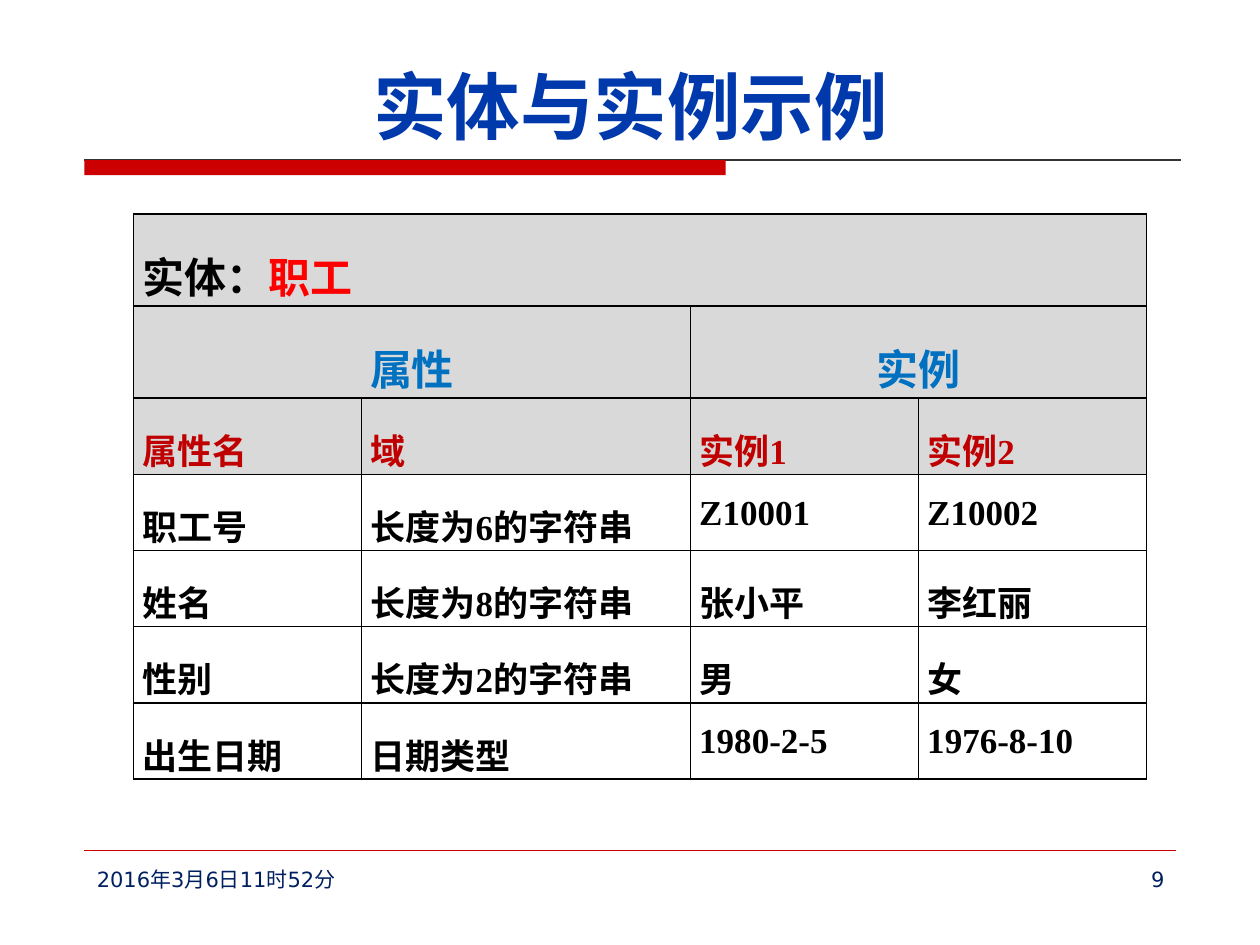
from dataclasses import dataclass

from lxml.etree import SubElement
from pptx import Presentation
from pptx.dml.color import RGBColor
from pptx.enum.shapes import MSO_CONNECTOR as CONN, MSO_SHAPE as SHAPE
from pptx.enum.text import MSO_ANCHOR as ANCHOR, PP_ALIGN as ALIGN
from pptx.oxml.ns import qn
from pptx.util import Inches, Pt

COLORS = {
    "red": "CC0000", "rule": "333333", "title": "0039AC", "footer": "002060",
    "black": "000000", "entity": "FF0000", "group": "0070C0",
    "header": "C00000", "shade": "D9D9D9", "white": "FFFFFF",
}
CJK = "Noto Sans CJK SC"
SERIF = "Times New Roman"
SANS = "DejaVu Sans"
W, H = 10, 7.5
LEFT, RIGHT = 0.067 * W, 0.935 * W


@dataclass
class Style:
    size: int
    color: str
    font: str = SERIF
    bold: bool = True
    align: ALIGN = ALIGN.JUSTIFY


@dataclass
class Label:
    text: str
    left: float
    top: float
    width: float
    height: float
    style: Style
    anchor: ANCHOR = ANCHOR.TOP


@dataclass
class Row:
    texts: list[str]
    style: Style
    height: float = 0.605
    fill: str = "white"
    span: int = 1


def rgb(name: str) -> RGBColor:
    return RGBColor.from_string(COLORS[name])


def style_paragraph(p, style: Style) -> None:
    p.alignment = style.align
    f = p.font
    f.size, f.bold, f.name = Pt(style.size), style.bold, style.font
    f.color.rgb = rgb(style.color)
    SubElement(f._element, qn("a:ea")).set("typeface", CJK)


def add_label(sp_tree, label: Label) -> None:
    box = sp_tree.add_textbox(Inches(label.left), Inches(label.top),
                              Inches(label.width), Inches(label.height))
    tf = box.text_frame
    tf.word_wrap, tf.vertical_anchor = True, label.anchor
    p = tf.paragraphs[0]
    p.add_run().text = label.text
    style_paragraph(p, label.style)


def add_rule(sp_tree, x1: float, x2: float, y: float, color: str, width: float) -> None:
    line = sp_tree.add_connector(CONN.STRAIGHT, Inches(x1), Inches(y), Inches(x2), Inches(y))
    line.line.color.rgb, line.line.width = rgb(color), Pt(width)
    SubElement(line._element.spPr, qn("a:effectLst"))


def add_borders(cell) -> None:
    props = cell._tc.get_or_add_tcPr()
    for i, side in enumerate(("lnL", "lnR", "lnT", "lnB")):
        ln = props.makeelement(qn(f"a:{side}"), {"w": str(Pt(1))})
        fill = SubElement(ln, qn("a:solidFill"))
        SubElement(fill, qn("a:srgbClr")).set("val", COLORS["black"])
        props.insert(i, ln)


def add_grid(sp_tree, left: float, top: float, cols: list[float], rows: list[Row]) -> None:
    frame = sp_tree.add_table(len(rows), len(cols), Inches(left), Inches(top),
                              Inches(sum(cols)), Inches(sum(r.height for r in rows)))
    table = frame.table
    for col, width in zip(table.columns, cols):
        col.width = Inches(width)
    for i, row in enumerate(rows):
        table.rows[i].height = Inches(row.height)
        for j in range(len(cols)):
            cell = table.cell(i, j)
            cell.fill.solid()
            cell.fill.fore_color.rgb = rgb(row.fill)
            cell.margin_left = cell.margin_right = Inches(0.07)
            cell.margin_top = cell.margin_bottom = 0
            add_borders(cell)
        for j, text in enumerate(row.texts):
            cell = table.cell(i, j * row.span)
            if row.span > 1:
                cell.merge(table.cell(i, (j + 1) * row.span - 1))
            p = cell.text_frame.paragraphs[0]
            p.line_spacing = 1.5
            # A bar splits off the part shown in the entity colour
            for k, part in enumerate(text.split("|")):
                r = p.add_run()
                r.text = part
                if k:
                    r.font.color.rgb = rgb("entity")
            style_paragraph(p, row.style)


BIG, GROUP = Style(24, "black"), Style(24, "group", align=ALIGN.CENTER)
HEAD, BODY = Style(20, "header"), Style(20, "black")
FOOT = Style(12, "footer", SANS, False, ALIGN.LEFT)
PAGE = Style(12, "footer", SANS, False, ALIGN.RIGHT)
BIG_ROW, HEAD_ROW = 0.73, 0.605

ROWS = [
    Row(["实体：|职工"], BIG, BIG_ROW, "shade", 4),
    Row(["属性", "实例"], GROUP, BIG_ROW, "shade", 2),
    Row(["属性名", "域", "实例1", "实例2"], HEAD, HEAD_ROW, "shade"),
    Row(["职工号", "长度为6的字符串", "Z10001", "Z10002"], BODY),
    Row(["姓名", "长度为8的字符串", "张小平", "李红丽"], BODY),
    Row(["性别", "长度为2的字符串", "男", "女"], BODY),
    Row(["出生日期", "日期类型", "1980-2-5", "1976-8-10"], BODY),
]
LABELS = [
    Label("实体与实例示例", 0.63, 0.33, 8.75, 0.9,
          Style(42, "title", CJK, True, ALIGN.CENTER), ANCHOR.BOTTOM),
    Label("2016年3月6日11时52分", LEFT, 0.91 * H, 2.21, 0.52, FOOT),
    Label("9", 7.17, 0.91 * H, 2.17, 0.52, PAGE),
]


def main() -> None:
    prs = Presentation()
    prs.slide_width, prs.slide_height = Inches(W), Inches(H)
    sp_tree = prs.slides.add_slide(prs.slide_layouts[6]).shapes

    # Title bar and rules
    add_rule(sp_tree, LEFT, 9.37, 1.27, "rule", 0.75)
    bar = sp_tree.add_shape(SHAPE.RECTANGLE, Inches(LEFT), Inches(1.27),
                            Inches(5.09), Inches(0.12))
    bar.shadow.inherit = False
    bar.fill.solid()
    bar.fill.fore_color.rgb = rgb("red")
    bar.line.fill.background()
    add_rule(sp_tree, LEFT, 9.33, 0.9 * H, "red", 0.25)

    # Title, footer and table
    for label in LABELS:
        add_label(sp_tree, label)
    add_grid(sp_tree, 1.06, 1.7, [1.81, 2.61, 1.81, 1.81], ROWS)

    prs.save("out.pptx")


if __name__ == "__main__":
    main()
